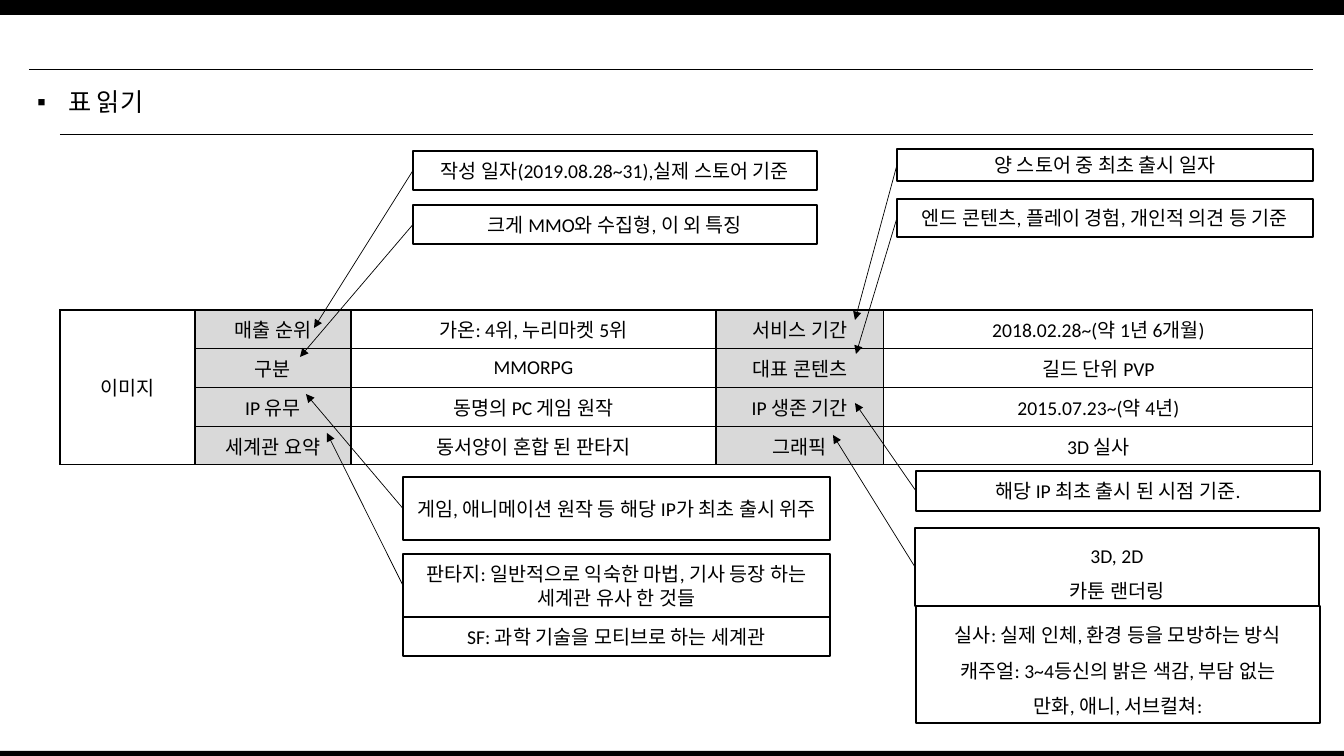
from lxml.etree import SubElement
from pptx import Presentation
from pptx.dml.color import RGBColor
from pptx.enum.shapes import MSO_CONNECTOR, MSO_SHAPE
from pptx.enum.text import MSO_ANCHOR, PP_ALIGN
from pptx.oxml.ns import qn
from pptx.util import Emu, Pt

BLACK, WHITE, GRAY = "000000", "FFFFFF", "D9D9D9"
COLUMN_WIDTHS = [135, 156, 365, 168, 429]
ROW_HEIGHT = 38
ROWS = [
    ["이미지", "매출 순위", "가온: 4위, 누리마켓 5위", "서비스 기간", "2018.02.28~(약 1년 6개월)"],
    ["", "구분", "MMORPG", "대표 콘텐츠", "길드 단위 PVP"],
    ["", "IP 유무", "동명의 PC 게임 원작", "IP 생존 기간", "2015.07.23~(약 4년)"],
    ["", "세계관 요약", "동서양이 혼합 된 판타지", "그래픽", "3D 실사"],
]
CALLOUTS = [
    ((413, 151, 404, 39), "작성 일자(2019.08.28~31),실제 스토어 기준", 1, (314, 328)),
    ((413, 205, 404, 39), "크게 MMO와 수집형, 이 외 특징", 1, (300, 357)),
    ((897, 149, 416, 32), "양 스토어 중 최초 출시 일자", 1, (855, 320)),
    ((897, 199, 416, 38), "엔드 콘텐츠, 플레이 경험, 개인적 의견 등 기준", 1, (856, 354)),
    ((403, 477, 427, 63), "게임, 애니메이션 원작 등 해당 IP가 최초 출시 위주", 1, (306, 394)),
    ((403, 554, 427, 63), "판타지: 일반적으로 익숙한 마법, 기사 등장 하는 세계관 유사 한 것들", 1, (327, 433)),
    ((916, 471, 404, 40), "해당 IP 최초 출시 된 시점 기준.", 1, (855, 403)),
    ((915, 528, 404, 78), "3D, 2D\n카툰 랜더링", 1.5, (833, 435)),
    ((916, 606, 404, 117),
     "실사: 실제 인체, 환경 등을 모방하는 방식\n캐주얼: 3~4등신의 밝은 색감, 부담 없는\n만화, 애니, 서브컬쳐:", 1.5, None),
    ((403, 617, 427, 39), "SF: 과학 기술을 모티브로 하는 세계관", 1, None),
]


def px(length):
    """Turn whole pixels into EMU."""
    return Emu(round(length * 914400 / 100.8))


def color(value):
    """Turn a hex string into a colour."""
    return RGBColor.from_string(value)


def format_text(frame, size=14, font="Calibri", align=PP_ALIGN.CENTER, spacing=1):
    """Format every paragraph of a text frame."""
    for para in frame.paragraphs:
        para.alignment = align
        para.line_spacing = spacing
        for span in para.runs:
            span.font.size = Pt(size)
            span.font.name = font
            span.font.color.rgb = color(BLACK)


def add_box(page, bounds, fill):
    """Add a rectangle without shadow or outline."""
    box = page.shapes.add_shape(MSO_SHAPE.RECTANGLE, *map(px, bounds))
    box.shadow.inherit = False
    box.fill.solid()
    box.fill.fore_color.rgb = color(fill)
    box.line.fill.background()
    return box


def add_line(page, start, end):
    """Add a thin black line without shadow."""
    line = page.shapes.add_connector(MSO_CONNECTOR.STRAIGHT, *map(px, start + end))
    line.line.color.rgb = color(BLACK)
    line.line.width = Pt(0.5)
    SubElement(line._element.spPr, qn("a:effectLst"))
    return line


def add_frame(page, width, height):
    """Add the black bands and the two rules around the title."""
    add_box(page, (0, 0, width, 15), BLACK)
    add_box(page, (0, height - 5, width, 5), BLACK)
    add_line(page, (29, 69), (1313, 69))
    add_line(page, (60, 134), (1313, 134))


def add_title(page, bounds, text):
    """Place the bulleted title."""
    title = page.shapes.title
    title.left, title.top, title.width, title.height = map(px, bounds)
    frame = title.text_frame
    frame.text = text
    frame.vertical_anchor = MSO_ANCHOR.MIDDLE
    properties = frame.paragraphs[0]._p.get_or_add_pPr()
    properties.set("marL", str(px(31)))
    properties.set("indent", str(-px(31)))
    SubElement(properties, qn("a:buFont"), typeface="Arial")
    SubElement(properties, qn("a:buChar"), char="▪")
    format_text(frame, 18, "Arial", PP_ALIGN.LEFT, 0.9)


def add_borders(cell):
    """Draw thin black borders on all sides of a cell."""
    properties = cell._tc.get_or_add_tcPr()
    for side in ("lnL", "lnR", "lnT", "lnB"):
        border = SubElement(properties, qn(f"a:{side}"), w=str(Pt(1)))
        fill = SubElement(border, qn("a:solidFill"))
        SubElement(fill, qn("a:srgbClr"), val=BLACK)


def add_info_table(page, left, top):
    """Add the game table with gray label columns."""
    size = sum(COLUMN_WIDTHS), ROW_HEIGHT * len(ROWS)
    table = page.shapes.add_table(
        len(ROWS), len(COLUMN_WIDTHS), *map(px, (left, top, *size))).table
    table.first_row = table.horz_banding = False
    for column, width in zip(table.columns, COLUMN_WIDTHS):
        column.width = px(width)
    for row_index, row in enumerate(ROWS):
        table.rows[row_index].height = px(ROW_HEIGHT)
        for column_index, text in enumerate(row):
            cell = table.cell(row_index, column_index)
            cell.text = text
            cell.vertical_anchor = MSO_ANCHOR.MIDDLE
            add_borders(cell)
            cell.fill.solid()
            cell.fill.fore_color.rgb = color(GRAY if column_index % 2 else WHITE)
            format_text(cell.text_frame)
    table.cell(0, 0).merge(table.cell(len(ROWS) - 1, 0))


def add_callout(page, bounds, text, spacing):
    """Add an outlined box that holds an explanation."""
    box = add_box(page, bounds, WHITE)
    box.line.color.rgb = color(BLACK)
    box.line.width = Pt(1)
    frame = box.text_frame
    frame.word_wrap = True
    frame.vertical_anchor = MSO_ANCHOR.MIDDLE
    frame.text = text
    format_text(frame, spacing=spacing)
    return box


def add_arrow(page, box, target):
    """Point from the left side of a callout to a table label."""
    arrow = add_line(page, target, target)
    arrow.begin_connect(box, 1)
    SubElement(arrow.line._get_or_add_ln(), qn("a:tailEnd"), type="triangle")


def main():
    """Build the slide and save it."""
    deck = Presentation()
    deck.slide_width, deck.slide_height = px(1344), px(756)
    page = deck.slides.add_slide(deck.slide_layouts[5])
    add_frame(page, 1344, 756)
    add_title(page, (27, 71, 1193, 64), "표 읽기")
    boxes = [add_callout(page, bounds, text, spacing)
             for bounds, text, spacing, _ in CALLOUTS]
    add_info_table(page, 60, 310)
    for box, (*_, target) in zip(boxes, CALLOUTS):
        if target:
            add_arrow(page, box, target)
    deck.save("out.pptx")


if __name__ == "__main__":
    main()
